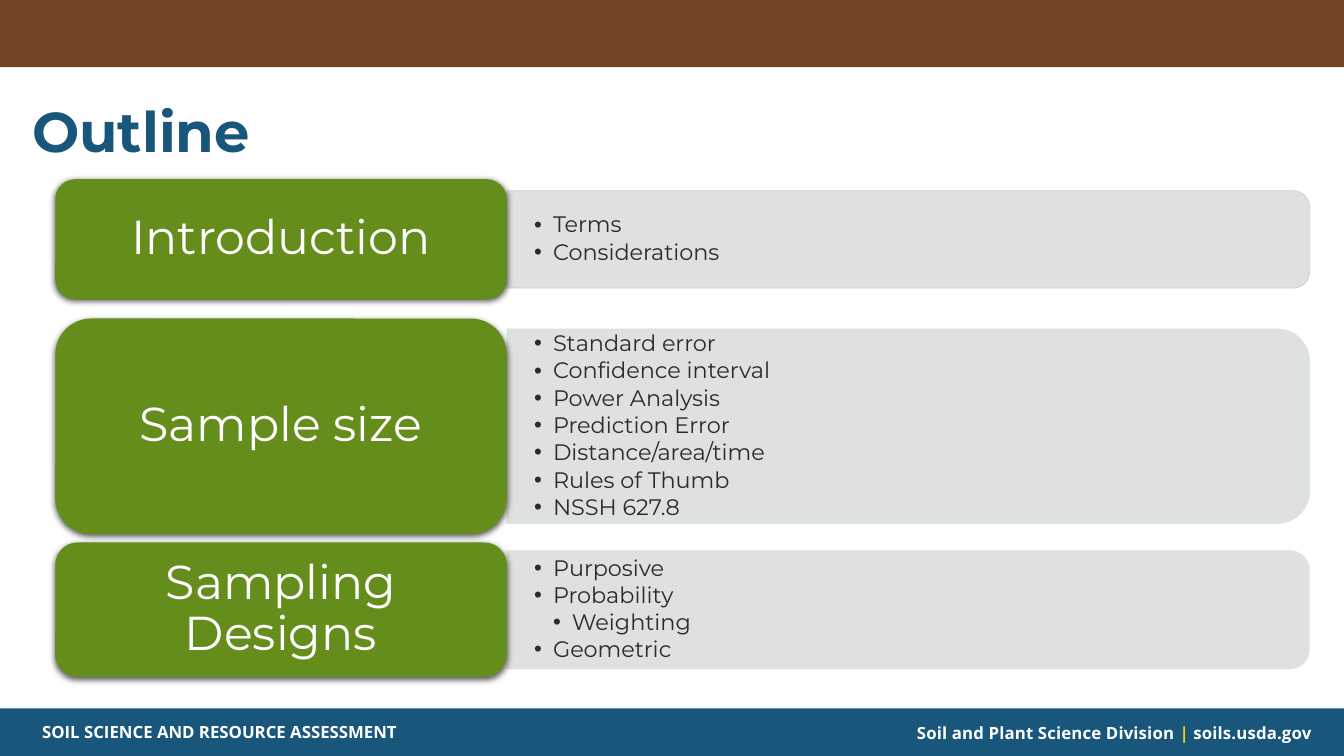
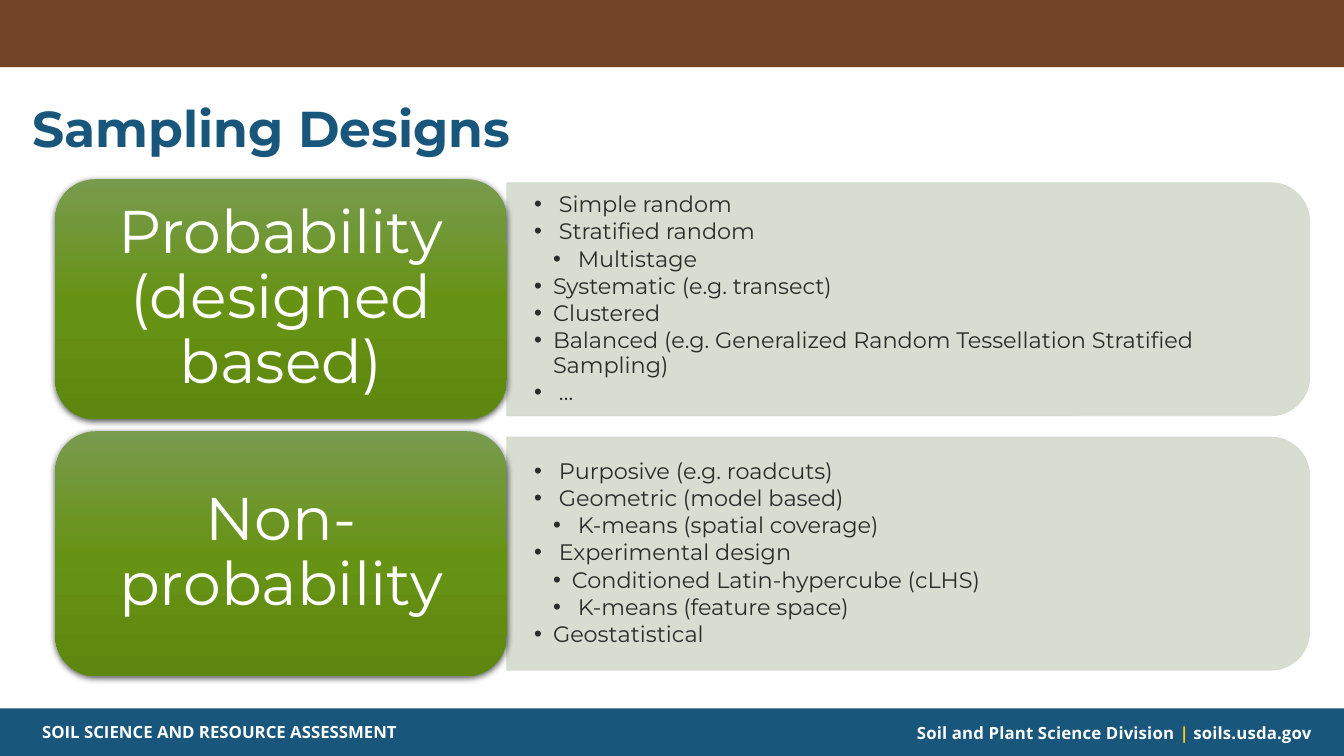
from copy import deepcopy

from lxml import etree
from pptx import Presentation
from pptx.dml.color import RGBColor
from pptx.enum.shapes import MSO_SHAPE
from pptx.enum.text import MSO_ANCHOR, PP_ALIGN
from pptx.oxml.ns import qn
from pptx.util import Pt

RECTANGLE = MSO_SHAPE.RECTANGLE
ROUNDED = MSO_SHAPE.ROUNDED_RECTANGLE
ROUNDED_END = MSO_SHAPE.ROUND_2_SAME_RECTANGLE
TOP, MIDDLE = MSO_ANCHOR.TOP, MSO_ANCHOR.MIDDLE
LEFT, CENTER, RIGHT = PP_ALIGN.LEFT, PP_ALIGN.CENTER, PP_ALIGN.RIGHT

BROWN = RGBColor(0x72, 0x43, 0x24)
BLUE = RGBColor(0x19, 0x56, 0x7B)
YELLOW = RGBColor(0xFF, 0xCB, 0x0B)
WHITE = RGBColor(0xFF, 0xFF, 0xFF)
INK = RGBColor(0x2A, 0x2C, 0x2C)
GREEN = RGBColor(0x65, 0x8D, 0x1B)
GRAY = RGBColor(0xDC, 0xDE, 0xDE)
GRAY_EDGE = RGBColor(0xCC, 0xCF, 0xCE)
GREEN_EDGE = RGBColor(0xD9, 0xEE, 0xC9)
ORANGE_EDGE = RGBColor(0xFF, 0xEB, 0xD4)
SAGE = RGBColor(0xD3, 0xDB, 0xCD)
GREEN_FADE = [
    (0, RGBColor(0x78, 0x9B, 0x4E)),
    (0.5, RGBColor(0x67, 0x93, 0x15)),
    (1, RGBColor(0x5D, 0x87, 0x0E)),
]

HEADING_FONT, FOOTER_FONT = "Montserrat", "Open Sans"
SLIDE_W, SLIDE_H = 960, 540
BAND_H, FOOTER_H = 48, 34
LABEL_X, LABEL_W = 39.5, 322.5
PANEL_X, PANEL_W, BULLETS_W = LABEL_X + LABEL_W, 573.5, 566
BULLET_STEP = 13.5

FOOTERS = [
    (23, 512, LEFT, [("SOIL SCIENCE AND RESOURCE ASSESSMENT", WHITE)], 0),
    (590.5, 512.6, RIGHT, [("Soil and Plant Science Division ", WHITE), ("|", YELLOW),
                           (" soils.usda.gov", WHITE)], 0.1),
]

SLIDES = [
    {
        "title": "Outline", "title_size": 40, "label_size": 34, "label_inset": 10,
        "label_fill": GREEN, "panel_fill": GRAY,
        "rows": [
            {"label": "Introduction", "top": 128, "height": 86, "panel_height": 69.5,
             "edge": GRAY_EDGE,
             "bullets": [(1, "Terms"), (1, "Considerations")]},
            {"label": "Sample size", "top": 227.5, "height": 154, "panel_height": 139,
             "edge": GREEN_EDGE,
             "bullets": [(1, "Standard error"), (1, "Confidence interval"),
                         (1, "Power Analysis"), (1, "Prediction Error"),
                         (1, "Distance/area/time"), (1, "Rules of Thumb"),
                         (1, "NSSH 627.8")]},
            {"label": "Sampling Designs", "top": 387.5, "height": 96, "panel_height": 85,
             "edge": ORANGE_EDGE,
             "bullets": [(1, "Purposive"), (1, "Probability"), (2, "Weighting"),
                         (1, "Geometric")]},
        ],
    },
    {
        "title": "Sampling Designs", "title_size": 36, "label_size": 43, "label_inset": 13,
        "label_fill": GREEN_FADE, "panel_fill": SAGE,
        "rows": [
            {"label": "Probability (designed based)", "top": 128, "height": 171.5,
             "panel_height": 166.5, "edge": SAGE,
             "bullets": [(1, " Simple random"), (1, " Stratified random"),
                         (2, " Multistage"), (1, "Systematic (e.g. transect)"),
                         (1, "Clustered"),
                         (1, "Balanced (e.g. Generalized Random Tessellation "
                             "Stratified Sampling)"),
                         (1, " …")]},
            {"label": "Non-probability", "top": 308, "height": 175,
             "panel_height": 166.5, "edge": SAGE,
             "bullets": [(1, " Purposive (e.g. roadcuts)"),
                         (1, " Geometric (model based)"),
                         (2, " K-means (spatial coverage)"),
                         (1, " Experimental design"),
                         (2, "Conditioned Latin-hypercube (cLHS)"),
                         (2, " K-means (feature space)"),
                         (1, "Geostatistical")]},
        ],
    },
]


def add_run(paragraph, text, size, color, font=HEADING_FONT, bold=False):
    run = paragraph.add_run()
    run.text = text
    run.font.size = Pt(size)
    run.font.name = font
    run.font.bold = bold
    run.font.color.rgb = color
    return run


def set_frame(shape, anchor, inset_x, inset_y):
    frame = shape.text_frame
    frame.word_wrap = True
    frame.vertical_anchor = anchor
    frame.margin_left = frame.margin_right = Pt(inset_x)
    frame.margin_top = frame.margin_bottom = Pt(inset_y)
    return frame


def add_text_frame(slide, x, y, w, h, anchor, inset_x, inset_y):
    box = slide.shapes.add_textbox(Pt(x), Pt(y), Pt(w), Pt(h))
    return set_frame(box, anchor, inset_x, inset_y)


def add_block(slide, preset, x, y, w, h, fill):
    block = slide.shapes.add_shape(preset, Pt(x), Pt(y), Pt(w), Pt(h))
    block.shadow.inherit = False
    block.line.fill.background()
    if isinstance(fill, list):
        block.fill.gradient()
        block.fill.gradient_angle = 270
        stops = block._element.spPr.find(".//" + qn("a:gsLst"))
        stops.insert(1, deepcopy(stops[0]))
        for stop, (position, color) in zip(block.fill.gradient_stops, fill):
            stop.position = position
            stop.color.rgb = color
    else:
        block.fill.solid()
        block.fill.fore_color.rgb = fill
    return block


def add_shadow(block):
    effects = block._element.spPr.find(qn("a:effectLst"))
    shadow = etree.SubElement(effects, qn("a:outerShdw"), blurRad=str(Pt(4.5)),
                              dist=str(Pt(1.5)), dir="5400000", rotWithShape="0")
    color = etree.SubElement(shadow, qn("a:srgbClr"), val="000000")
    etree.SubElement(color, qn("a:alpha"), val="63000")


def add_panel(slide, middle, height, fill, edge):
    x = PANEL_X + (PANEL_W - height) / 2
    panel = add_block(slide, ROUNDED_END, x, middle - PANEL_W / 2, height, PANEL_W, fill)
    panel.rotation = 90
    panel.line.color.rgb = edge
    panel.line.width = Pt(0.5)
    for color in panel._element.spPr.iter(qn("a:srgbClr")):
        etree.SubElement(color, qn("a:alpha"), val="90000")


def add_bullets(slide, middle, height, bullets):
    frame = add_text_frame(slide, PANEL_X, middle - height / 2, BULLETS_W, height,
                           MIDDLE, 19.5, 0)
    for index, (level, text) in enumerate(bullets):
        paragraph = frame.paragraphs[0] if index == 0 else frame.add_paragraph()
        properties = paragraph._p.get_or_add_pPr()
        properties.set("marL", str(Pt(BULLET_STEP * level)))
        properties.set("indent", str(-Pt(BULLET_STEP)))
        etree.SubElement(properties, qn("a:buFont"), typeface="Arial")
        etree.SubElement(properties, qn("a:buChar"), char="•")
        paragraph.level = level
        paragraph.line_spacing = 0.9
        paragraph.space_after = Pt(2.2)
        add_run(paragraph, text, 16, INK)


def add_label(slide, row, content):
    label = add_block(slide, ROUNDED, LABEL_X, row["top"], LABEL_W, row["height"],
                      content["label_fill"])
    add_shadow(label)
    inset = content["label_inset"]
    paragraph = set_frame(label, MIDDLE, inset, inset / 2).paragraphs[0]
    paragraph.alignment = CENTER
    paragraph.line_spacing = 0.9
    add_run(paragraph, row["label"], content["label_size"], WHITE)


def add_common(slide, title, title_size):
    add_block(slide, RECTANGLE, 0, 0, SLIDE_W, BAND_H, BROWN)
    add_block(slide, RECTANGLE, 0, SLIDE_H - FOOTER_H, SLIDE_W, FOOTER_H, BLUE)
    for x, y, alignment, parts, spacing in FOOTERS:
        paragraph = add_text_frame(slide, x, y, 353.5, 21.6, TOP, 7.2, 3.6).paragraphs[0]
        paragraph.alignment = alignment
        for text, color in parts:
            run = add_run(paragraph, text, 12, color, FOOTER_FONT, True)
            if spacing:
                run.font._element.set("spc", str(round(spacing * 100)))
    heading = add_text_frame(slide, 16, 65.5, 828, 50, TOP, 7.2, 3.6).paragraphs[0]
    add_run(heading, title, title_size, BLUE, bold=True)


def main():
    deck = Presentation()
    deck.slide_width, deck.slide_height = Pt(SLIDE_W), Pt(SLIDE_H)
    for content in SLIDES:
        slide = deck.slides.add_slide(deck.slide_layouts[6])
        add_common(slide, content["title"], content["title_size"])
        for row in content["rows"]:
            middle = row["top"] + row["height"] / 2
            add_panel(slide, middle, row["panel_height"], content["panel_fill"], row["edge"])
            add_bullets(slide, middle, row["panel_height"], row["bullets"])
            add_label(slide, row, content)
    deck.save("out.pptx")


if __name__ == "__main__":
    main()
